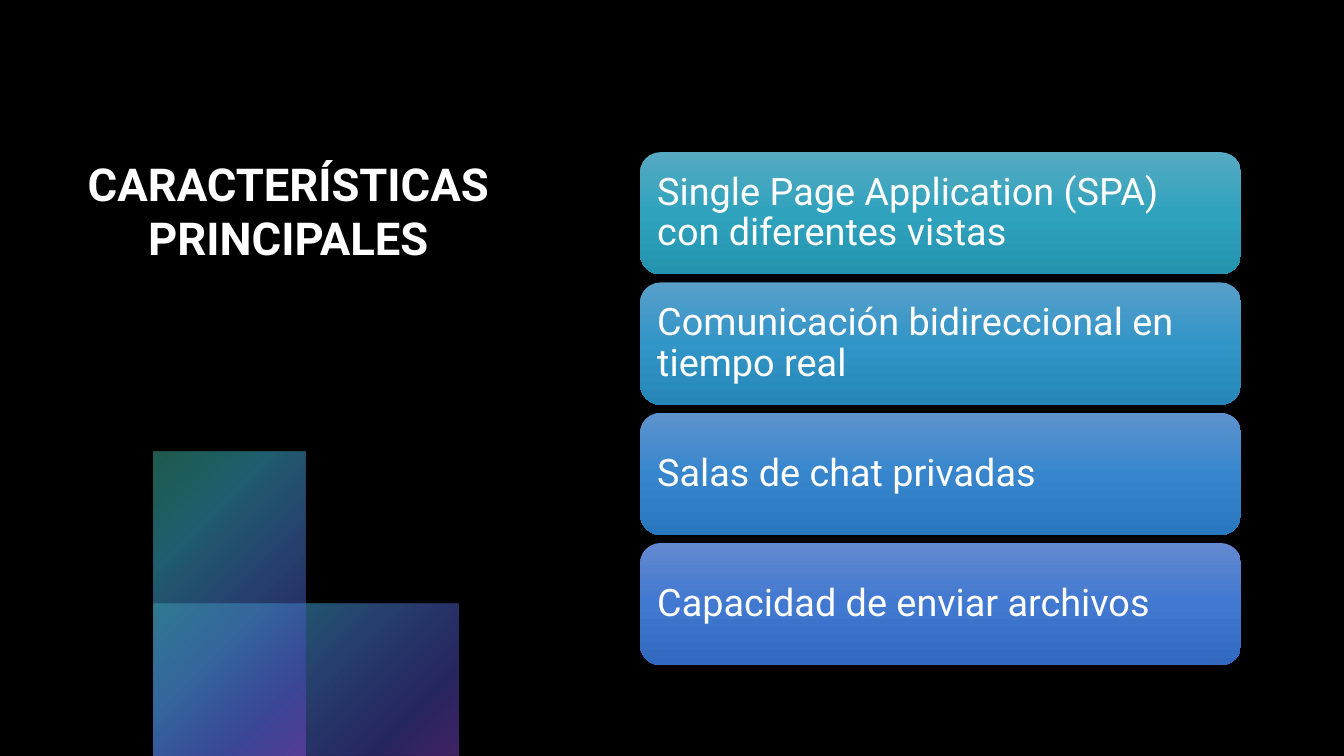
from lxml import etree
from pptx import Presentation
from pptx.dml.color import RGBColor
from pptx.enum import shapes, text
from pptx.oxml import parse_xml
from pptx.util import Inches, Pt

A = "http://schemas.openxmlformats.org/drawingml/2006/main"
FONT = "Roboto"
LINEAR = '<a:lin ang="5400000" scaled="0"/>'
RADIAL = ('<a:path path="circle"><a:fillToRect l="0" t="0" '
          'r="100000" b="100000"/></a:path>')
# Position, colour, opacity (percent)
DECOR_STOPS = [(0, "3FB399", 50), (25, "359EB7", 60), (50, "4779C9", 55),
               (81, "4E4BBF", 50), (99, "8147C9", 50)]
CARDS = [
    ("Single Page Application (SPA) con diferentes vistas",
     ("57AAC1", "2FA2BE", "2494AE")),
    ("Comunicación bidireccional en tiempo real",
     ("589FCA", "3195C7", "2686B7")),
    ("Salas de chat privadas", ("5D93CD", "3786CD", "2977BE")),
    ("Capacidad de enviar archivos", ("6389D0", "4178D0", "3269C0")),
]


def color(value):
    return RGBColor.from_string(value)


def gradient_shape(slide, kind, box, stops, direction):
    s = slide.shapes.add_shape(kind, *(Inches(v) for v in box))
    s.shadow.inherit = False
    s.line.fill.background()
    gs = "".join(
        f'<a:gs pos="{pos * 1000}"><a:srgbClr val="{rgb}">'
        f'<a:alpha val="{alpha * 1000}"/></a:srgbClr></a:gs>'
        for pos, rgb, alpha in stops)
    grad = parse_xml(f'<a:gradFill xmlns:a="{A}" rotWithShape="1">'
                     f'<a:gsLst>{gs}</a:gsLst>{direction}</a:gradFill>')
    geometry = s.element.spPr.find(etree.QName(A, "prstGeom").text)
    geometry.addnext(grad)
    return s


def style_run(r, size, bold=False):
    r.font.name = FONT
    r.font.size = Pt(size)
    r.font.bold = bold
    r.font.color.rgb = color("FFFFFF")


def add_title(slide, box, lines):
    tf = slide.shapes.add_textbox(*(Inches(v) for v in box)).text_frame
    tf.word_wrap = True
    p = tf.paragraphs[0]
    p.alignment = text.PP_ALIGN.CENTER
    for i, line in enumerate(lines):
        if i:
            p.add_line_break()
        r = p.add_run()
        r.text = line
        style_run(r, 32.4, bold=True)


def add_decor(slide, box):
    # Wide low block, then a tall block over its left half
    left, top, width, height = box
    for block in ((left, top + height / 2, width, height / 2),
                  (left, top, width / 2, height)):
        gradient_shape(slide, shapes.MSO_SHAPE.RECTANGLE, block,
                       DECOR_STOPS, RADIAL)


def add_cards(slide, box, cards, gap=0.08):
    left, top, width, height = box
    card_height = (height - gap * (len(cards) - 1)) / len(cards)
    for i, (label, colors) in enumerate(cards):
        stops = [(pos, rgb, 100) for pos, rgb in zip((0, 50, 100), colors)]
        s = gradient_shape(
            slide, shapes.MSO_SHAPE.ROUNDED_RECTANGLE,
            (left, top + i * (card_height + gap), width, card_height),
            stops, LINEAR)
        tf = s.text_frame
        tf.word_wrap = True
        tf.vertical_anchor = text.MSO_ANCHOR.MIDDLE
        # The preset's text area is already inset by the rounded corners
        tf.margin_left = tf.margin_right = Inches(0.11)
        tf.margin_top = tf.margin_bottom = Inches(0.11)
        p = tf.paragraphs[0]
        p.alignment = text.PP_ALIGN.LEFT
        p.line_spacing = 0.9
        r = p.add_run()
        r.text = label
        style_run(r, 27)


def main():
    prs = Presentation()
    prs.slide_width, prs.slide_height = Inches(13.33), Inches(7.5)
    slide = prs.slides.add_slide(prs.slide_layouts[6])

    # Background
    slide.background.fill.solid()
    slide.background.fill.fore_color.rgb = color("000000")

    # Left side: decoration and title
    add_decor(slide, (1.52, 4.48, 3.03, 3.02))
    add_title(slide, (0.54, 1.5, 4.64, 0.67),
              ("CARACTERÍSTICAS", "PRINCIPALES"))

    # Right side: feature cards
    add_cards(slide, (6.35, 1.51, 5.96, 5.09), CARDS)

    prs.save("out.pptx")


if __name__ == "__main__":
    main()
